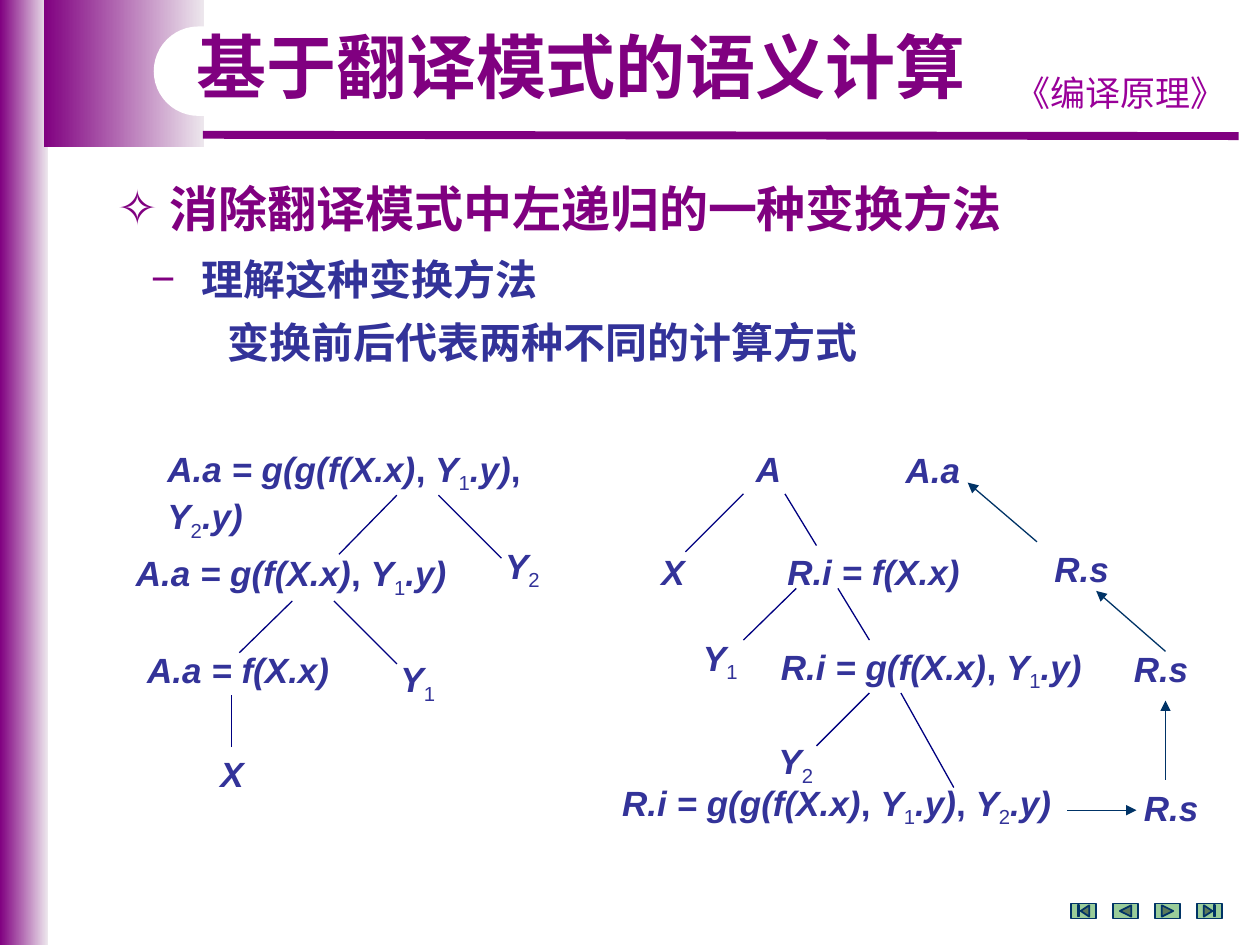
from lxml.etree import SubElement
from pptx import Presentation
from pptx.dml.color import RGBColor
from pptx.enum.shapes import MSO_CONNECTOR, MSO_SHAPE
from pptx.enum.text import MSO_ANCHOR, PP_ALIGN
from pptx.oxml.ns import qn
from pptx.util import Inches, Pt

COLUMNS, ROWS = 10, 7.5
CELL = Inches(1)

PURPLE = RGBColor(0x80, 0x00, 0x80)
PALE = RGBColor(0xED, 0xE7, 0xED)
MAGENTA = RGBColor(0x99, 0x00, 0x99)
WHITE = RGBColor(0xFF, 0xFF, 0xFF)
INDIGO = RGBColor(0x33, 0x33, 0x99)
NAVY = RGBColor(0x00, 0x00, 0x80)
TEAL = RGBColor(0x00, 0x33, 0x66)
GREEN = RGBColor(0x99, 0xCC, 0x99)

CHINESE_FONT = "Noto Sans CJK SC"
LABEL_HEIGHT = 0.43

# "|" parts the spans of a formula
Y1, Y2 = "Y|1", "Y|2"
FIRST_ARGUMENT, SECOND_ARGUMENT = f"|, |{Y1}|.y)", f"|, |{Y2}|.y)"
F_CALL = "f(X.x)"
G_CALL = f"g({F_CALL}{FIRST_ARGUMENT}"
GG_CALL = f"g({G_CALL}{SECOND_ARGUMENT}"


def cells(*counts):
    return [round(count * CELL) for count in counts]


def add_span(para, text, font="Arial", size=20, color=INDIGO,
             bold=False, italic=False, baseline=0):
    span = para.add_run()
    span.text = text
    span.font.name = font
    span.font.size = Pt(size)
    span.font.color.rgb = color
    span.font.bold = bold
    span.font.italic = italic
    properties = span.font._element
    if baseline:
        properties.set("baseline", str(baseline * 1000))
    east_asian = SubElement(properties, qn("a:ea"))
    east_asian.set("typeface", CHINESE_FONT)


def add_box(page, left, top, width, height, wrap=True):
    box = page.shapes.add_textbox(*cells(left, top, width, height))
    box.text_frame.word_wrap = wrap
    return box.text_frame


def add_formula(page, text, left, top, width, wrap=True):
    """Digits become subscripts and commas stay upright."""
    para = add_box(page, left, top, width, LABEL_HEIGHT, wrap).paragraphs[0]
    for part in text.split("|"):
        if part.isdigit():
            add_span(para, part, baseline=-25)
        else:
            add_span(para, part, bold=True, italic=part != ", ")


def add_line(page, start, end, color=NAVY, width=0.75, arrow=False):
    line = page.shapes.add_connector(
        MSO_CONNECTOR.STRAIGHT, *cells(*start, *end))
    line.line.color.rgb = color
    line.line.width = Pt(width)
    if arrow:
        SubElement(line.line._get_or_add_ln(), qn("a:tailEnd")).set("type", "triangle")
    SubElement(line._element.spPr, qn("a:effectLst"))


def add_shape(page, kind, left, top, width, height, fill=None, outline=None):
    """Without a fill colour the shape fades from purple to pale."""
    shape = page.shapes.add_shape(kind, *cells(left, top, width, height))
    shape.shadow.inherit = False
    if fill is None:
        shape.fill.gradient()
        shape.fill.gradient_angle = 0
        for stop, color, position in zip(
                shape.fill.gradient_stops, (PURPLE, PALE), (0, 1)):
            stop.color.rgb = color
            stop.position = position
    else:
        shape.fill.solid()
        shape.fill.fore_color.rgb = fill
    if outline is None:
        shape.line.fill.background()
    else:
        shape.line.color.rgb = outline
        shape.line.width = Pt(1)
    return shape


def set_indent(para, margin, first=0.0, bullet=None):
    properties = para._p.get_or_add_pPr()
    properties.set("marL", str(Inches(margin)))
    properties.set("indent", str(Inches(first)))
    if bullet:
        color = SubElement(properties, qn("a:buClr"))
        SubElement(color, qn("a:srgbClr")).set("val", str(PURPLE))
        SubElement(properties, qn("a:buFont")).set("typeface", "Arial")
        SubElement(properties, qn("a:buChar")).set("char", bullet)


def add_frame(page):
    add_shape(page, MSO_SHAPE.RECTANGLE, 0, 0, 0.38, ROWS)
    add_shape(page, MSO_SHAPE.RECTANGLE, 0.35, 0, 1.27, 1.17)
    add_line(page, (1.61, 1.07), (9.83, 1.08), PURPLE, 4.5)
    course = add_box(page, 7.91, 0.52, 1.97, LABEL_HEIGHT).paragraphs[0]
    course.alignment = PP_ALIGN.CENTER
    add_span(course, "《编译原理》", font="Comic Neue", color=MAGENTA)
    notch = add_shape(page, MSO_SHAPE.ROUNDED_RECTANGLE,
                      1.22, 0.21, 3.62, 0.71, WHITE)
    notch.adjustments[0] = 0.5


def add_title(page):
    frame = add_box(page, 1.46, 0.21, 6.45, 0.7)
    frame.vertical_anchor = MSO_ANCHOR.MIDDLE
    para = frame.paragraphs[0]
    para.line_spacing = 0.9
    add_span(para, "基于翻译模式的语义计算", size=40, color=PURPLE, bold=True)


def add_outline(page):
    frame = add_box(page, 0.83, 1.42, 8.83, 1.77)
    frame.margin_top = 0
    points = [
        ("消除翻译模式中左递归的一种变换方法", 28, PURPLE, 0, 0.42, -0.42, "✧"),
        ("理解这种变换方法", 24, INDIGO, 9, 0.67, -0.4, "−"),
        ("变换前后代表两种不同的计算方式", 24, INDIGO, 7, 0.88, 0, None),
    ]
    for index, (text, size, color, before, margin, first, bullet) in enumerate(points):
        para = frame.add_paragraph() if index else frame.paragraphs[0]
        if before:
            para.space_before = Pt(before)
        set_indent(para, margin, first, bullet)
        add_span(para, text, CHINESE_FONT, size, color, bold=True)


def add_buttons(page):
    kinds = (MSO_SHAPE.ACTION_BUTTON_BEGINNING,
             MSO_SHAPE.ACTION_BUTTON_BACK_OR_PREVIOUS,
             MSO_SHAPE.ACTION_BUTTON_FORWARD_OR_NEXT,
             MSO_SHAPE.ACTION_BUTTON_END)
    for index, kind in enumerate(kinds):
        add_shape(page, kind, 8.5 + index / 3, 7.17, 0.2, 0.12, GREEN, TEAL)


def add_tree(page, formulas, leaves, branches):
    for text, left, top, width in formulas:
        add_formula(page, text, left, top, width)
    for text, left, top in leaves:
        add_formula(page, text, left, top, 0.49, wrap=False)
    for start, end in branches:
        add_line(page, start, end)


def add_left_recursive_tree(page):
    add_tree(
        page,
        [(f"A.a = {GG_CALL}", 1.23, 3.5, 3.67),
         (f"A.a = {G_CALL}", 0.98, 4.33, 2.67),
         (f"A.a = {F_CALL}", 1.07, 5.1, 1.67)],
        [(Y2, 3.91, 4.27), (Y1, 3.08, 5.17), ("X", 1.65, 5.92)],
        [((3.98, 4.43), (3.48, 3.93)), ((2.69, 4.4), (3.15, 3.93)),
         ((3.15, 5.27), (2.65, 4.77)), ((1.9, 5.18), (2.32, 4.77)),
         ((1.84, 5.93), (1.84, 5.52))])


def add_right_recursive_tree(page):
    add_tree(
        page,
        [("A", 5.9, 3.5, 0.42),
         (f"R.i = {F_CALL}", 6.15, 4.32, 1.67),
         (f"R.i = {G_CALL}", 6.1, 5.07, 2.67),
         (f"R.i = {GG_CALL}", 4.84, 6.15, 3.67)],
        [("X", 5.15, 4.32), (Y1, 5.48, 5), (Y2, 6.08, 5.82)],
        [((5.44, 4.38), (5.9, 3.92)), ((6.48, 4.33), (6.23, 3.92)),
         ((5.9, 5.08), (6.32, 4.67)), ((6.9, 5.08), (6.65, 4.67)),
         ((6.48, 5.92), (6.9, 5.5)), ((7.57, 6.25), (7.15, 5.5))])


def add_synthesis_chain(page):
    for text, left, top in [("R.s", 8.98, 6.19), ("R.s", 8.9, 5.09),
                            ("R.s", 8.27, 4.3), ("A.a", 7.09, 3.51)]:
        add_formula(page, text, left, top, 0.9)
    for start, end in [((8.47, 6.43), (9.02, 6.43)), ((9.25, 6.19), (9.25, 5.56)),
                       ((9.25, 5.17), (8.7, 4.69)), ((8.23, 4.3), (7.68, 3.83))]:
        add_line(page, start, end, TEAL, arrow=True)


def main():
    deck = Presentation()
    deck.slide_width, deck.slide_height = cells(COLUMNS, ROWS)
    page = deck.slides.add_slide(deck.slide_layouts[6])
    for add_part in (add_frame, add_outline, add_buttons, add_left_recursive_tree,
                     add_right_recursive_tree, add_synthesis_chain, add_title):
        add_part(page)
    deck.save("out.pptx")


if __name__ == "__main__":
    main()
